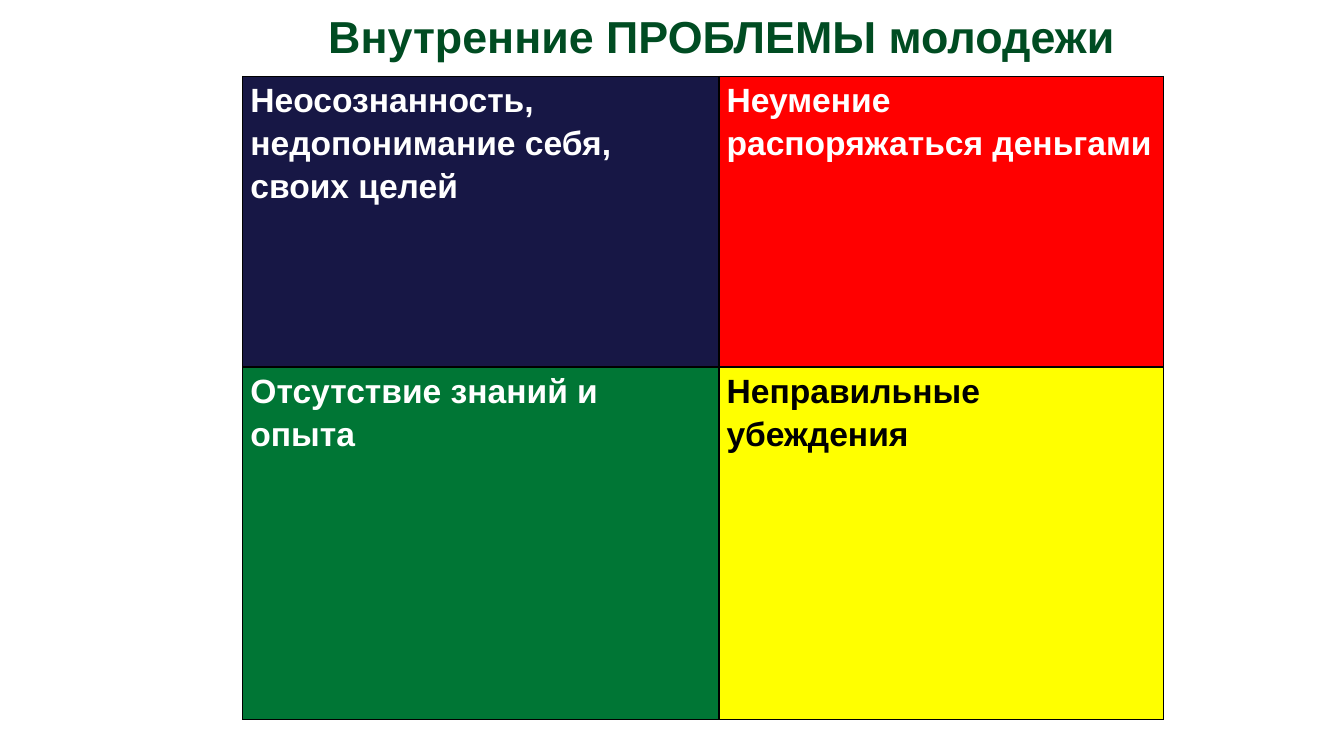
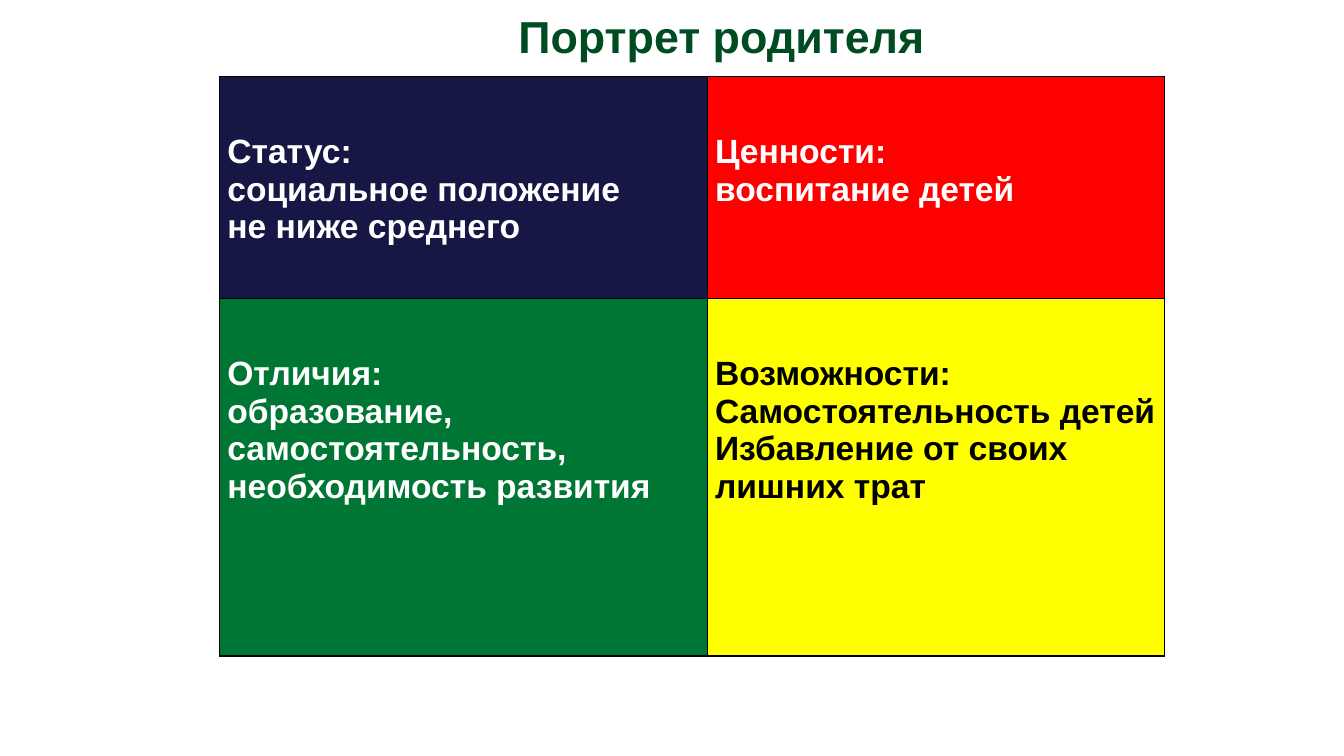
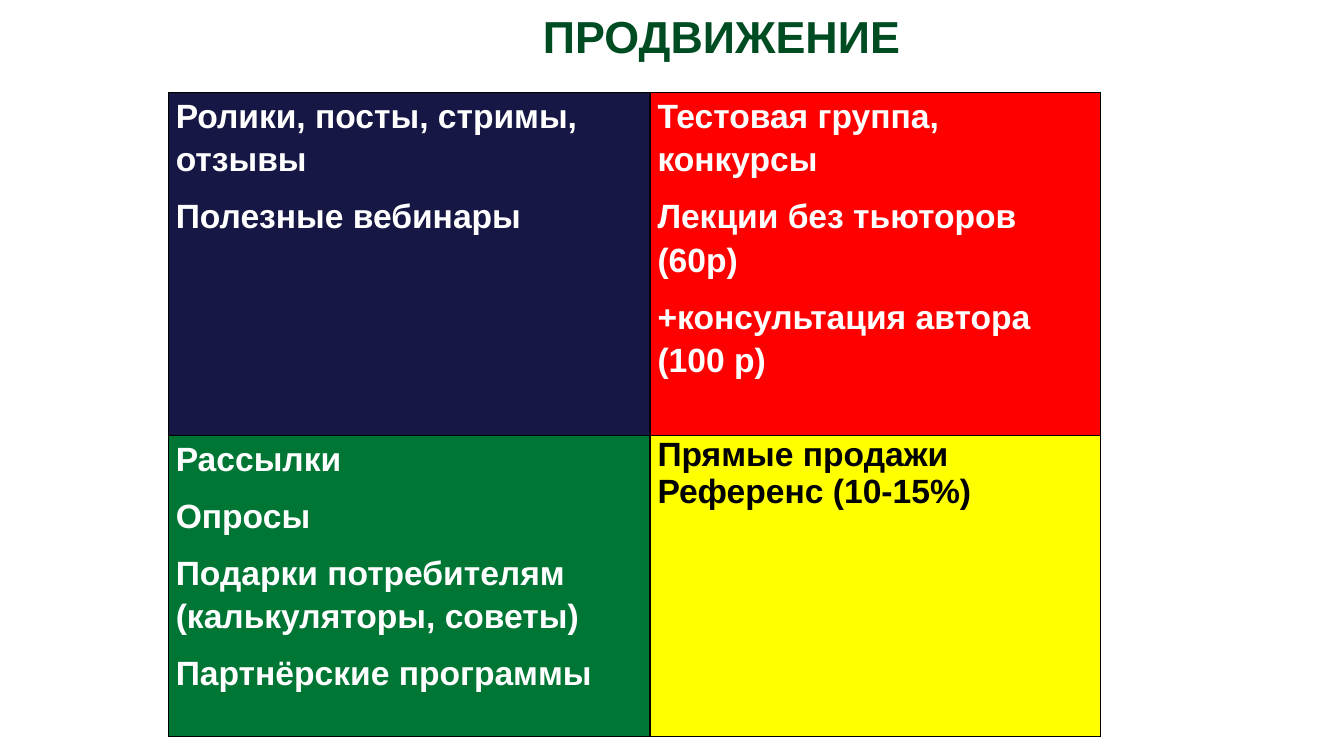
"""Build three slides, each with a title and a four-colour quadrant table."""
from dataclasses import dataclass

from lxml.etree import SubElement
from pptx import Presentation
from pptx.dml.color import RGBColor
from pptx.enum.text import MSO_ANCHOR, MSO_AUTO_SIZE, PP_ALIGN
from pptx.oxml.ns import qn
from pptx.presentation import Presentation as Deck
from pptx.slide import Slide
from pptx.table import _Cell
from pptx.util import Cm, Pt


@dataclass(frozen=True)
class Theme:
    font: str = "Arial"
    title_size: int = 32
    body_size: int = 24
    border_width: int = 1
    title_color: str = "004C22"
    light: str = "FFFFFF"
    dark: str = "000000"
    quadrants: tuple[str, ...] = ("171745", "FF0000", "007635", "FFFF00")
    quadrant_texts: tuple[str, ...] = ("FFFFFF", "FFFFFF", "FFFFFF", "000000")


@dataclass(frozen=True)
class Quadrant:
    lines: tuple[str, ...]
    spaced: bool = True
    inset_top: float = 0


@dataclass(frozen=True)
class Matrix:
    title: str
    left: float
    top: float
    columns: tuple[float, float]
    rows: tuple[float, float]
    quadrants: tuple[Quadrant, ...]


THEME = Theme()
PORTRAIT_INSET = 1.43
TITLE_FRAME = {"left": Cm(4.24), "top": Cm(0.08), "width": Cm(25.4), "height": Cm(1.63)}
TITLE_TEXT = {
    "margin_left": Cm(2.74), "margin_right": Cm(0.25),
    "margin_top": Cm(0.13), "margin_bottom": Cm(0.13),
    "vertical_anchor": MSO_ANCHOR.TOP, "word_wrap": True,
    "auto_size": MSO_AUTO_SIZE.SHAPE_TO_FIT_TEXT,
}
CELL_MARGINS = {
    "margin_left": Cm(0.19), "margin_right": Cm(0.19), "margin_bottom": Cm(0),
    "vertical_anchor": MSO_ANCHOR.TOP,
}
SPACED = {"line_spacing": 1.15, "space_after": Pt(10)}

MATRICES = (
    Matrix("Внутренние ПРОБЛЕМЫ молодежи", 6.12, 1.93, (12, 11.2), (7.32, 8.89), (
        Quadrant(("Неосознанность, недопонимание себя, своих целей",)),
        Quadrant(("Неумение распоряжаться деньгами",)),
        Quadrant(("Отсутствие знаний и опыта",)),
        Quadrant(("Неправильные убеждения",)),
    )),
    Matrix("Портрет родителя", 5.54, 1.93, (12.29, 11.52), (5.6, 9), (
        Quadrant(("Статус:", "социальное положение", "не ниже среднего"),
                 False, PORTRAIT_INSET),
        Quadrant(("Ценности:", "воспитание детей"), False, PORTRAIT_INSET),
        Quadrant(("Отличия:", "образование, самостоятельность, необходимость развития"),
                 False, PORTRAIT_INSET),
        Quadrant(("Возможности: Самостоятельность детей", "Избавление от своих лишних трат"),
                 False, PORTRAIT_INSET),
    )),
    Matrix("ПРОДВИЖЕНИЕ", 4.24, 2.34, (12.14, 11.35), (8.64, 7.57), (
        Quadrant(("Ролики, посты, стримы, отзывы", "Полезные вебинары")),
        Quadrant(("Тестовая группа, конкурсы", "Лекции без тьюторов (60р)",
                  "+консультация автора (100 р)")),
        Quadrant(("Рассылки", "Опросы", "Подарки потребителям (калькуляторы, советы)",
                  "Партнёрские программы")),
        Quadrant(("Прямые продажи", "Референс (10-15%)"), False),
    )),
)


def apply(target: object, values: dict[str, object]) -> None:
    for key, value in values.items():
        setattr(target, key, value)


def write(paragraph, text: str, size: int, color: str, layout: dict[str, object]) -> None:
    apply(paragraph, layout)
    run = paragraph.add_run()
    run.text = text
    apply(run.font, {"name": THEME.font, "size": Pt(size), "bold": True})
    run.font.color.rgb = RGBColor.from_string(color)


def add_title(slide: Slide, text: str) -> None:
    heading = slide.shapes.title
    apply(heading, TITLE_FRAME)
    apply(heading.text_frame, TITLE_TEXT)
    write(heading.text_frame.paragraphs[0], text, THEME.title_size, THEME.title_color,
          {"alignment": PP_ALIGN.CENTER})


def add_borders(cell: _Cell) -> None:
    properties = cell._tc.get_or_add_tcPr()
    for side in ("lnL", "lnR", "lnT", "lnB"):
        border = SubElement(properties, qn(f"a:{side}"), w=str(Pt(THEME.border_width)))
        SubElement(SubElement(border, qn("a:solidFill")), qn("a:srgbClr"), val=THEME.dark)


def fill_cell(cell: _Cell, quadrant: Quadrant, fill: str, color: str) -> None:
    apply(cell, CELL_MARGINS | {"margin_top": Cm(quadrant.inset_top)})
    add_borders(cell)
    cell.fill.solid()
    cell.fill.fore_color.rgb = RGBColor.from_string(fill)
    frame = cell.text_frame
    for index, line in enumerate(quadrant.lines):
        paragraph = frame.add_paragraph() if index else frame.paragraphs[0]
        write(paragraph, line, THEME.body_size, color, SPACED if quadrant.spaced else {})


def add_matrix(slide: Slide, matrix: Matrix) -> None:
    table = slide.shapes.add_table(
        len(matrix.rows), len(matrix.columns), Cm(matrix.left), Cm(matrix.top),
        Cm(sum(matrix.columns)), Cm(sum(matrix.rows))).table
    apply(table, {"first_row": False, "horz_banding": False})
    for column, width in zip(table.columns, matrix.columns):
        column.width = Cm(width)
    for row, height in zip(table.rows, matrix.rows):
        row.height = Cm(height)
    for cell, quadrant, fill, color in zip(
            table.iter_cells(), matrix.quadrants, THEME.quadrants, THEME.quadrant_texts):
        fill_cell(cell, quadrant, fill, color)


def add_slide(deck: Deck, matrix: Matrix) -> None:
    slide = deck.slides.add_slide(deck.slide_layouts.get_by_name("Title Only"))
    slide.background.fill.solid()
    slide.background.fill.fore_color.rgb = RGBColor.from_string(THEME.light)
    add_title(slide, matrix.title)
    add_matrix(slide, matrix)


def main() -> None:
    deck = Presentation()
    apply(deck, {"slide_width": Cm(33.87), "slide_height": Cm(19.05)})
    for matrix in MATRICES:
        add_slide(deck, matrix)
    deck.save("out.pptx")


if __name__ == "__main__":
    main()
